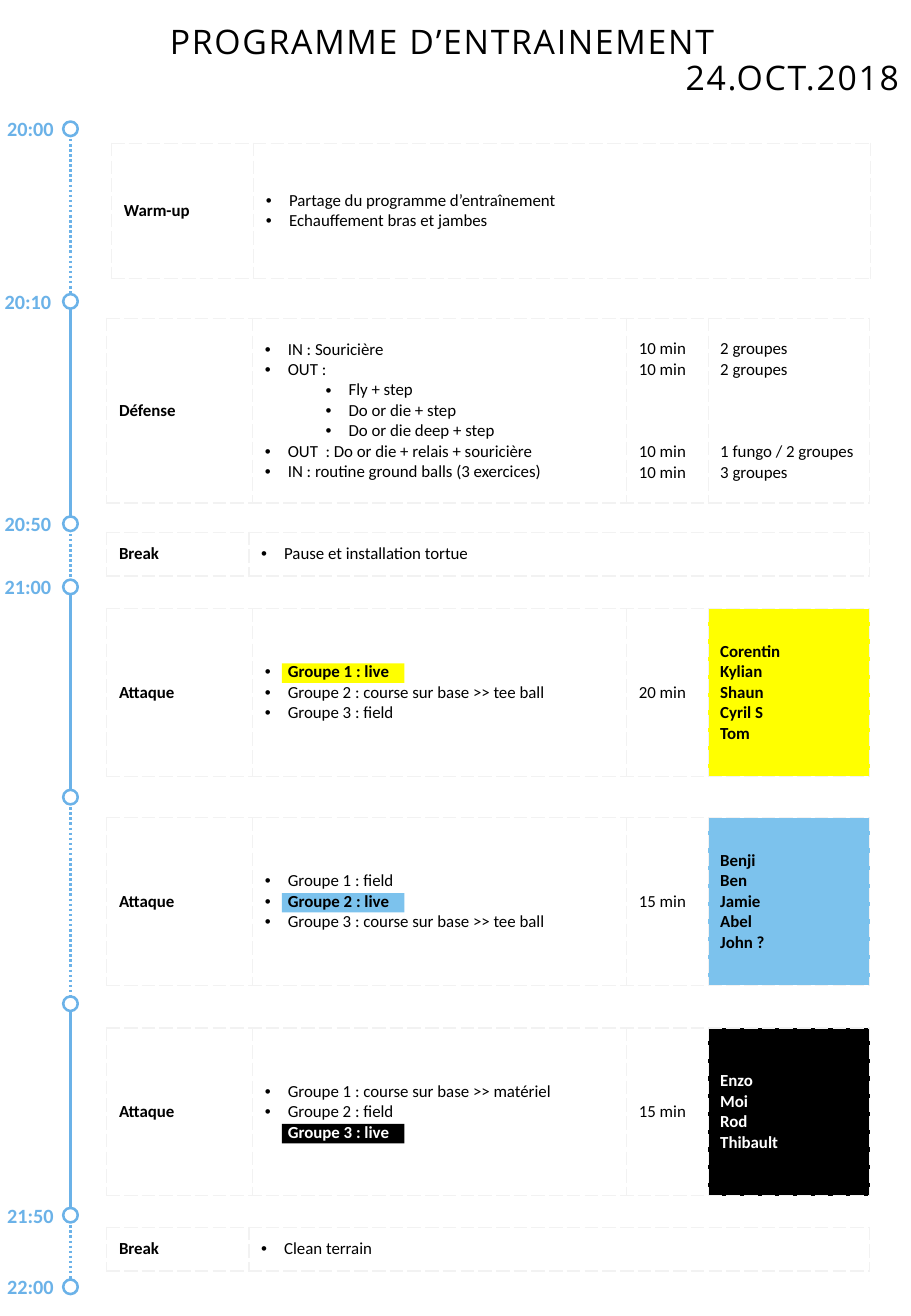
from dataclasses import dataclass
from itertools import cycle

from lxml import etree
from pptx import Presentation
from pptx.dml.color import RGBColor
from pptx.enum.dml import MSO_LINE_DASH_STYLE as DASH
from pptx.enum.shapes import MSO_CONNECTOR, MSO_SHAPE
from pptx.enum.text import MSO_ANCHOR, PP_ALIGN
from pptx.oxml import parse_xml
from pptx.oxml.ns import nsdecls, qn
from pptx.util import Inches, Pt


@dataclass(frozen=True)
class Theme:
    blue: str = "6BB2E8"
    sky: str = "7CC2ED"
    yellow: str = "FFFF00"
    black: str = "000000"
    white: str = "FFFFFF"
    grid: str = "F2F2F2"
    body_font: str = "Calibri"
    title_font: str = "Open Sans"
    title: int = 20
    time: int = 12
    body: int = 10
    line: float = 1.5


T = Theme()
AXIS_X, DOT = 0.58, 0.12
TABLE_X, LINE_H = 0.88, 0.17
SESSION_COLS = (1.2, 3.08, 0.67, 1.33)
BREAK_COLS = (1.17, 5.11)
SKIP_3_LINES = 36.6  # points, lines up with the nested items

# Centre of each stop, its time, left edge of the time
STOPS = [(1.06, "20:00", -0.04), (2.48, "20:10", -0.06), (4.31, "20:50", -0.06),
         (4.83, "21:00", -0.06), (6.56, None, 0), (8.26, None, 0),
         (10, "21:50", -0.04), (10.59, "22:00", -0.04)]

# Top, items, index of the live group, duration, players, colour, text colour
ATTACKS = [
    (5.01, ["Groupe 1 : live", "Groupe 2 : course sur base >> tee ball", "Groupe 3 : field"],
     0, "20 min", ["Corentin", "Kylian", "Shaun", "Cyril S", "Tom"], T.yellow, T.black),
    (6.73, ["Groupe 1 : field", "Groupe 2 : live", "Groupe 3 : course sur base >> tee ball"],
     1, "15 min", ["Benji", "Ben", "Jamie", "Abel", "John ?"], T.sky, T.black),
    (8.46, ["Groupe 1 : course sur base >> matériel", "Groupe 2 : field", "Groupe 3 : live"],
     2, "15 min", ["Enzo", "Moi", "Rod", "Thibault"], T.black, T.white),
]


def rgb(color):
    return RGBColor.from_string(color)


def write(tf, text, size=T.body, font=T.body_font, color=T.black, bold=False,
          align=None, bullet=False, level=0, left=0, before=0, spacing=None, tracking=0):
    """Add one formatted paragraph to a text frame."""
    p = tf.paragraphs[0] if not tf.text else tf.add_paragraph()
    p.alignment, p.level, p.line_spacing = align, level, spacing
    p.space_before = Pt(before)
    pPr = p._p.get_or_add_pPr()
    if bullet:
        pPr.set("marL", str(Inches(0.19 + 0.5 * level)))
        pPr.set("indent", str(Inches(-0.19)))
        etree.SubElement(pPr, qn("a:buFont")).set("typeface", "Arial")
        etree.SubElement(pPr, qn("a:buChar")).set("char", "•")
    elif left:
        pPr.set("marL", str(Inches(left)))
    r = p.add_run()
    r.text = text
    r.font.name, r.font.size, r.font.bold = font, Pt(size), bold
    r.font.color.rgb = rgb(color)
    if tracking:
        r._r.get_or_add_rPr().set("spc", str(tracking * 100))


def add_text_box(s, x, y, w, h, wrap=True):
    tf = s.shapes.add_textbox(Inches(x), Inches(y), Inches(w), Inches(h)).text_frame
    tf.word_wrap = wrap
    return tf


def add_shape(s, kind, x, y, w, h, fill, line=None):
    sp = s.shapes.add_shape(kind, Inches(x), Inches(y), Inches(w), Inches(h))
    sp.shadow.inherit = False
    sp.fill.solid()
    sp.fill.fore_color.rgb = rgb(fill)
    if line:
        sp.line.color.rgb, sp.line.width = rgb(line), Pt(T.line)
    else:
        sp.line.fill.background()


def add_segment(s, top, bottom, dash):
    cx = s.shapes.add_connector(MSO_CONNECTOR.STRAIGHT, Inches(AXIS_X), Inches(top),
                                Inches(AXIS_X), Inches(bottom))
    cx.line.color.rgb, cx.line.width, cx.line.dash_style = rgb(T.blue), Pt(T.line), dash
    etree.SubElement(cx._element.spPr, qn("a:effectLst"))


def style_cell(cell, fill):
    """Fill a cell and give it dashed borders."""
    cell.vertical_anchor = MSO_ANCHOR.MIDDLE
    if fill:
        cell.fill.solid()
        cell.fill.fore_color.rgb = rgb(fill)
    else:
        cell.fill.background()
    tcPr = cell._tc.get_or_add_tcPr()
    for i, side in enumerate("LRTB"):
        tcPr.insert(i, parse_xml(
            f'<a:ln{side} {nsdecls("a")} w="{Pt(0.75)}"><a:solidFill>'
            f'<a:srgbClr val="{T.grid}"/></a:solidFill>'
            f'<a:prstDash val="sysDash"/></a:ln{side}>'))


def add_row(s, y, h, cols, cells, fills, x=TABLE_X):
    """Add a one-row table; each cell is a list of (text, format) pairs."""
    table = s.shapes.add_table(1, len(cols), Inches(x), Inches(y),
                               Inches(sum(cols)), Inches(h)).table
    table.first_row = table.horz_banding = False
    table.rows[0].height = Inches(h)
    for i, (width, lines, fill) in enumerate(zip(cols, cells, fills)):
        table.columns[i].width = Inches(width)
        cell = table.cell(0, i)
        style_cell(cell, fill)
        for text, fmt in lines:
            write(cell.text_frame, text, **fmt)


def lines(*texts, **fmt):
    return [(text, fmt) for text in texts]


def add_activity(s, y, h, cols, name, items, x=TABLE_X):
    add_row(s, y, h, cols, [lines(name, bold=True), lines(*items, bullet=True)],
            [T.white] * 2, x)


def add_defence(s):
    items = (lines("IN : Souricière", "OUT :", bullet=True)
             + lines("Fly + step", "Do or die + step", "Do or die deep + step",
                     bullet=True, level=1)
             + lines("OUT  : Do or die + relais + souricière",
                     "IN : routine ground balls (3 exercices)", bullet=True))
    times = lines("10 min", "10 min") + lines("10 min", before=SKIP_3_LINES) + lines("10 min")
    groups = (lines("2 groupes", "2 groupes")
              + lines("1 fungo / 2 groupes", before=SKIP_3_LINES) + lines("3 groupes"))
    add_row(s, 2.62, 1.52, SESSION_COLS,
            [lines("Défense", bold=True), items, times, groups], [T.white] * 4)


def add_attack(s, y, groups, live, duration, players, fill, color):
    # Marker behind the live group
    add_shape(s, MSO_SHAPE.RECTANGLE, 2.32, y + 0.62 + LINE_H * (live - 1), 1.01, 0.16, fill)
    items = lines(*groups, bullet=True)
    items[live] = (groups[live], dict(bullet=True, bold=True, color=color))
    add_row(s, y, 1.38, SESSION_COLS,
            [lines("Attaque", bold=True), items, lines(duration),
             lines(*players, bold=True, color=color)], [None, None, None, fill])


def add_timeline(s):
    dashes = cycle([DASH.ROUND_DOT, DASH.SOLID])
    for (top, *_), (bottom, *_), dash in zip(STOPS, STOPS[1:], dashes):
        add_segment(s, top, bottom, dash)
    for y, time, x in STOPS:
        add_shape(s, MSO_SHAPE.OVAL, AXIS_X - DOT / 2, y - DOT / 2, DOT, DOT, T.white, T.blue)
        if time:
            tf = add_text_box(s, x, y - 0.15, 0.59, 0.3, wrap=False)
            write(tf, time, size=T.time, color=T.blue, bold=True)


def add_title(s):
    tf = add_text_box(s, 0, 0.22, 7.5, 0.57)
    tf.vertical_anchor = MSO_ANCHOR.MIDDLE
    fmt = dict(size=T.title, font=T.title_font, spacing=0.9, tracking=1)
    write(tf, "PROGRAMME D’ENTRAINEMENT", left=1.3, align=PP_ALIGN.LEFT, **fmt)
    write(tf, "24.OCT.2018", align=PP_ALIGN.RIGHT, **fmt)


def main():
    prs = Presentation()
    prs.slide_width, prs.slide_height = Inches(7.5), Inches(10.83)
    s = prs.slides.add_slide(prs.slide_layouts[6])

    add_title(s)
    add_timeline(s)

    # Programme, from warm-up to clean-up
    add_activity(s, 1.18, 1.11, (1.17, 5.08), "Warm-up",
                 ["Partage du programme d’entraînement", "Echauffement bras et jambes"], x=0.92)
    add_defence(s)
    add_activity(s, 4.38, 0.36, BREAK_COLS, "Break", ["Pause et installation tortue"])
    for attack in ATTACKS:
        add_attack(s, *attack)
    add_activity(s, 10.1, 0.36, BREAK_COLS, "Break", ["Clean terrain"])

    prs.save("out.pptx")


if __name__ == "__main__":
    main()
